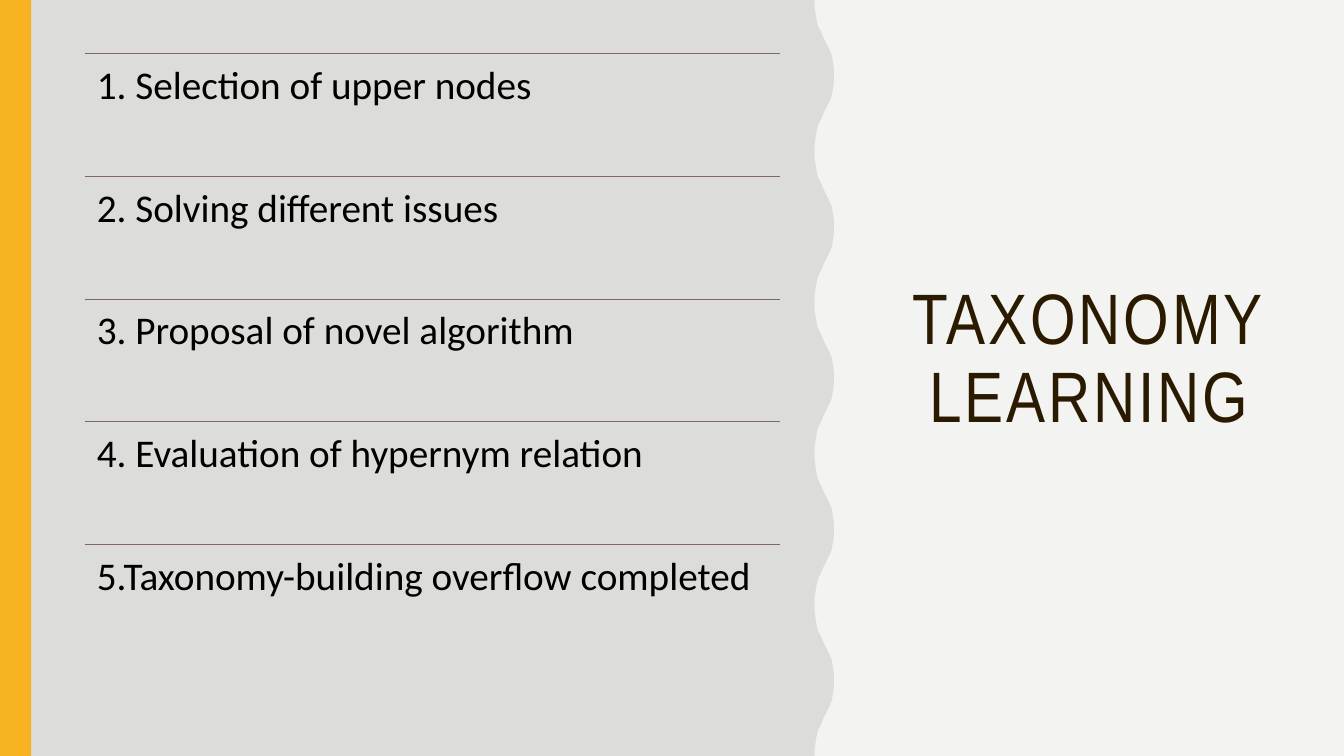
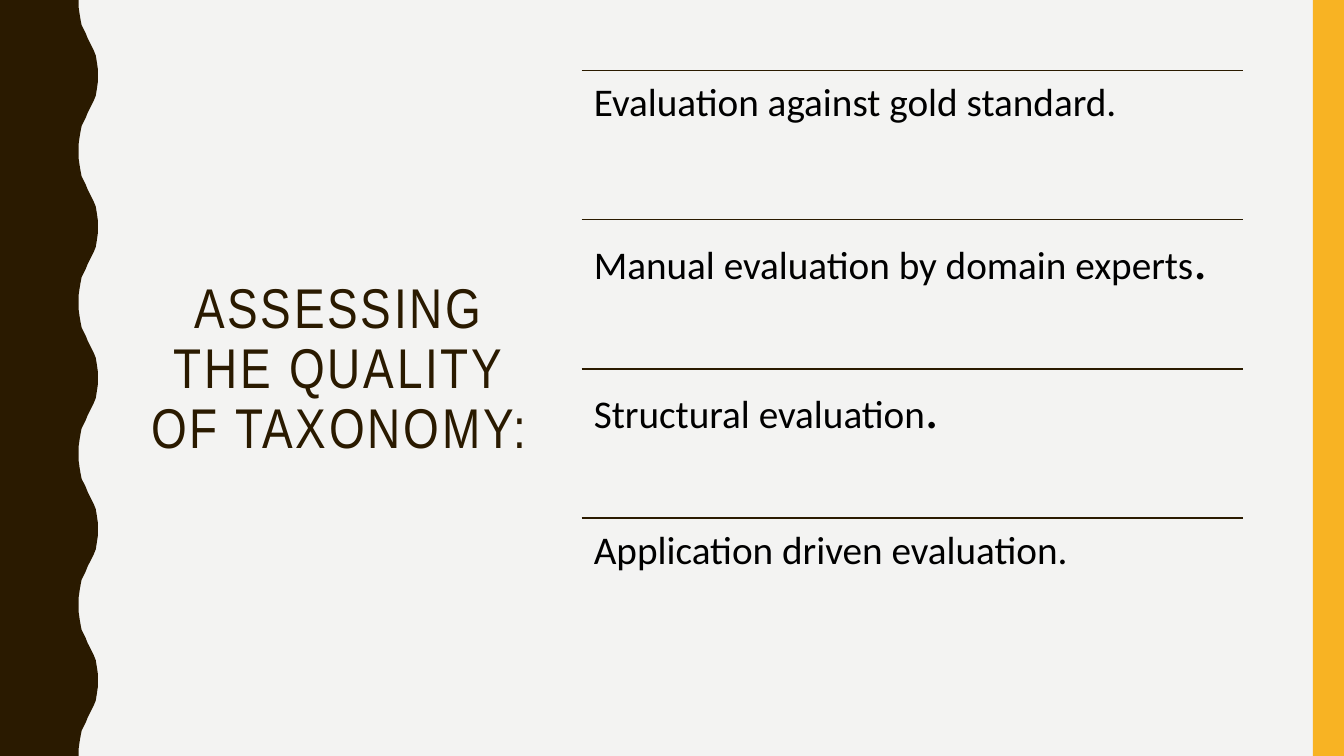
"""Build two wave-edged slides on taxonomy learning and its assessment."""
from dataclasses import dataclass
from typing import Any

import lxml.etree
import pptx
import pptx.dml.color
import pptx.enum.shapes
import pptx.enum.text
import pptx.oxml.ns
import pptx.presentation
import pptx.slide
import pptx.util

Inches = pptx.util.Inches
Pt = pptx.util.Pt
RGB = pptx.dml.color.RGBColor
Anchor = pptx.enum.text.MSO_ANCHOR
Align = pptx.enum.text.PP_ALIGN


@dataclass(frozen=True)
class Theme:
    paper: RGB = RGB.from_string("F3F3F2")
    brown: RGB = RGB.from_string("2A1A00")
    yellow: RGB = RGB.from_string("F8B323")
    grey: RGB = RGB.from_string("DCDCD9")
    mauve: RGB = RGB.from_string("826276")
    black: RGB = RGB.from_string("000000")
    title_font: str = "Arial Narrow"
    body_font: str = "Calibri"
    title_spacing: int = 200
    line_spacing: float = 0.9
    body_size: float = 28
    large_stop_size: float = 39


@dataclass(frozen=True)
class Box:
    left: float
    top: float
    width: float
    height: float

    def lengths(self) -> tuple[int, ...]:
        return tuple(Inches(v) for v in (self.left, self.top, self.width, self.height))


@dataclass(frozen=True)
class Phrase:
    text: str
    size: float
    font: str
    color: RGB
    spacing: int = 0


@dataclass(frozen=True)
class Topic:
    text: str
    large_stop: bool = False


@dataclass(frozen=True)
class Page:
    title: str
    title_size: float
    title_box: Box
    wave_edge: float
    wave_color: RGB
    band_left: float
    topics: tuple[Topic, ...]
    topics_box: Box
    rule_color: RGB
    rule_weight: float


THEME = Theme()
WIDTH, HEIGHT = 13.33, 7.5
BAND_WIDTH = 0.31
WAVE_PERIOD = 1.5
HALF_WAVE = (
    (0, 0), (0, 0.07), (0.01, 0.14), (0.02, 0.2), (0.03, 0.25),
    (0.05, 0.29), (0.07, 0.33), (0.09, 0.38), (0.11, 0.42), (0.13, 0.46),
    (0.15, 0.5), (0.17, 0.55), (0.18, 0.61), (0.19, 0.68), (0.19, 0.75),
)
TITLE_FRAME = {"word_wrap": True, "vertical_anchor": Anchor.MIDDLE}
TOPIC_FRAME = {
    "word_wrap": True,
    "vertical_anchor": Anchor.TOP,
    **{f"margin_{side}": Inches(0.12) for side in ("left", "top", "right", "bottom")},
}

PAGES = (
    Page(
        title="TAXONOMY LEARNING",
        title_size=51,
        title_box=Box(8.8, 0.53, 4, 6.09),
        wave_edge=8.08,
        wave_color=THEME.grey,
        band_left=0,
        topics=(
            Topic("1. Selection of upper nodes"),
            Topic("2. Solving different issues"),
            Topic("3. Proposal of novel algorithm"),
            Topic("4. Evaluation of hypernym relation"),
            Topic("5.Taxonomy-building overflow completed"),
        ),
        topics_box=Box(0.84, 0.53, 6.9, 6.09),
        rule_color=THEME.mauve,
        rule_weight=0.5,
    ),
    Page(
        title="ASSESSING THE QUALITY OF TAXONOMY:",
        title_size=40,
        title_box=Box(1.37, 0.71, 3.99, 5.93),
        wave_edge=0.78,
        wave_color=THEME.brown,
        band_left=WIDTH - BAND_WIDTH,
        topics=(
            Topic("Evaluation against gold standard."),
            Topic("Manual evaluation by domain experts", large_stop=True),
            Topic("Structural evaluation", large_stop=True),
            Topic("Application driven evaluation."),
        ),
        topics_box=Box(5.77, 0.7, 6.56, 5.92),
        rule_color=THEME.brown,
        rule_weight=1,
    ),
)


def apply_format(target: Any, values: dict[str, Any]) -> None:
    for attribute, value in values.items():
        setattr(target, attribute, value)


def paint(shape: Any, color: RGB) -> None:
    shape.shadow.inherit = False
    shape.fill.solid()
    shape.fill.fore_color.rgb = color
    shape.line.fill.background()


def draw_wave(slide: pptx.slide.Slide, edge: float, color: RGB) -> None:
    cycle = HALF_WAVE + tuple((dx, WAVE_PERIOD - y) for dx, y in HALF_WAVE[-2::-1])
    crests = [
        (edge + dx, turn * WAVE_PERIOD + y)
        for turn in range(round(HEIGHT / WAVE_PERIOD))
        for dx, y in cycle
    ]
    outline = [(Inches(x), Inches(y)) for x, y in [*crests, (0, HEIGHT)]]
    builder = slide.shapes.build_freeform(0, 0)
    builder.add_line_segments(outline, close=True)
    paint(builder.convert_to_shape(), color)


def draw_band(slide: pptx.slide.Slide, left: float) -> None:
    band = slide.shapes.add_shape(
        pptx.enum.shapes.MSO_SHAPE.RECTANGLE,
        *Box(left, 0, BAND_WIDTH, HEIGHT).lengths(),
    )
    paint(band, THEME.yellow)


def draw_text(
    slide: pptx.slide.Slide,
    box: Box,
    phrases: list[Phrase],
    frame_format: dict[str, Any],
    alignment: Align,
) -> None:
    frame = slide.shapes.add_textbox(*box.lengths()).text_frame
    apply_format(frame, frame_format)
    paragraph = frame.paragraphs[0]
    apply_format(paragraph, {"alignment": alignment, "line_spacing": THEME.line_spacing})
    for phrase in phrases:
        run = paragraph.add_run()
        run.text = phrase.text
        apply_format(run.font, {"name": phrase.font, "size": Pt(phrase.size)})
        run.font.color.rgb = phrase.color
        if phrase.spacing:
            run.font._element.set("spc", str(phrase.spacing))


def draw_rule(slide: pptx.slide.Slide, box: Box, color: RGB, weight: float) -> None:
    left, top, width, _ = box.lengths()
    rule = slide.shapes.add_connector(
        pptx.enum.shapes.MSO_CONNECTOR.STRAIGHT, left, top, left + width, top
    )
    rule.line.color.rgb = color
    rule.line.width = Pt(weight)
    lxml.etree.SubElement(rule._element.spPr, pptx.oxml.ns.qn("a:effectLst"))


def draw_topics(slide: pptx.slide.Slide, page: Page) -> None:
    area = page.topics_box
    pitch = area.height / len(page.topics)
    for index, topic in enumerate(page.topics):
        row = Box(area.left, area.top + index * pitch, area.width, pitch)
        draw_rule(slide, row, page.rule_color, page.rule_weight)
        phrases = [Phrase(topic.text, THEME.body_size, THEME.body_font, THEME.black)]
        if topic.large_stop:
            phrases.append(
                Phrase(".", THEME.large_stop_size, THEME.body_font, THEME.black)
            )
        draw_text(slide, row, phrases, TOPIC_FRAME, Align.LEFT)


def draw_page(deck: pptx.presentation.Presentation, page: Page) -> None:
    slide = deck.slides.add_slide(deck.slide_layouts[6])
    slide.background.fill.solid()
    slide.background.fill.fore_color.rgb = THEME.paper
    draw_wave(slide, page.wave_edge, page.wave_color)
    draw_band(slide, page.band_left)
    title = Phrase(
        page.title, page.title_size, THEME.title_font, THEME.brown, THEME.title_spacing
    )
    draw_text(slide, page.title_box, [title], TITLE_FRAME, Align.CENTER)
    draw_topics(slide, page)


def main() -> None:
    deck = pptx.Presentation()
    apply_format(deck, {"slide_width": Inches(WIDTH), "slide_height": Inches(HEIGHT)})
    for page in PAGES:
        draw_page(deck, page)
    deck.save("out.pptx")


if __name__ == "__main__":
    main()
